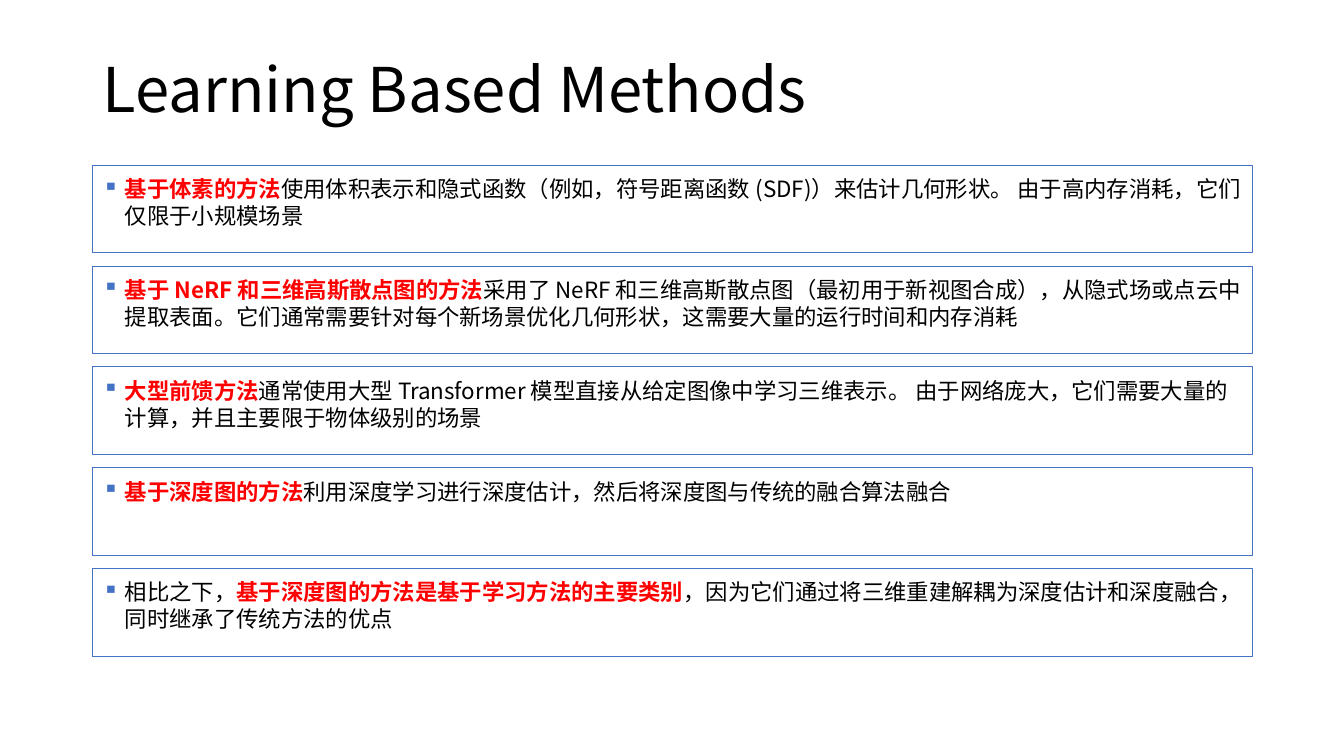
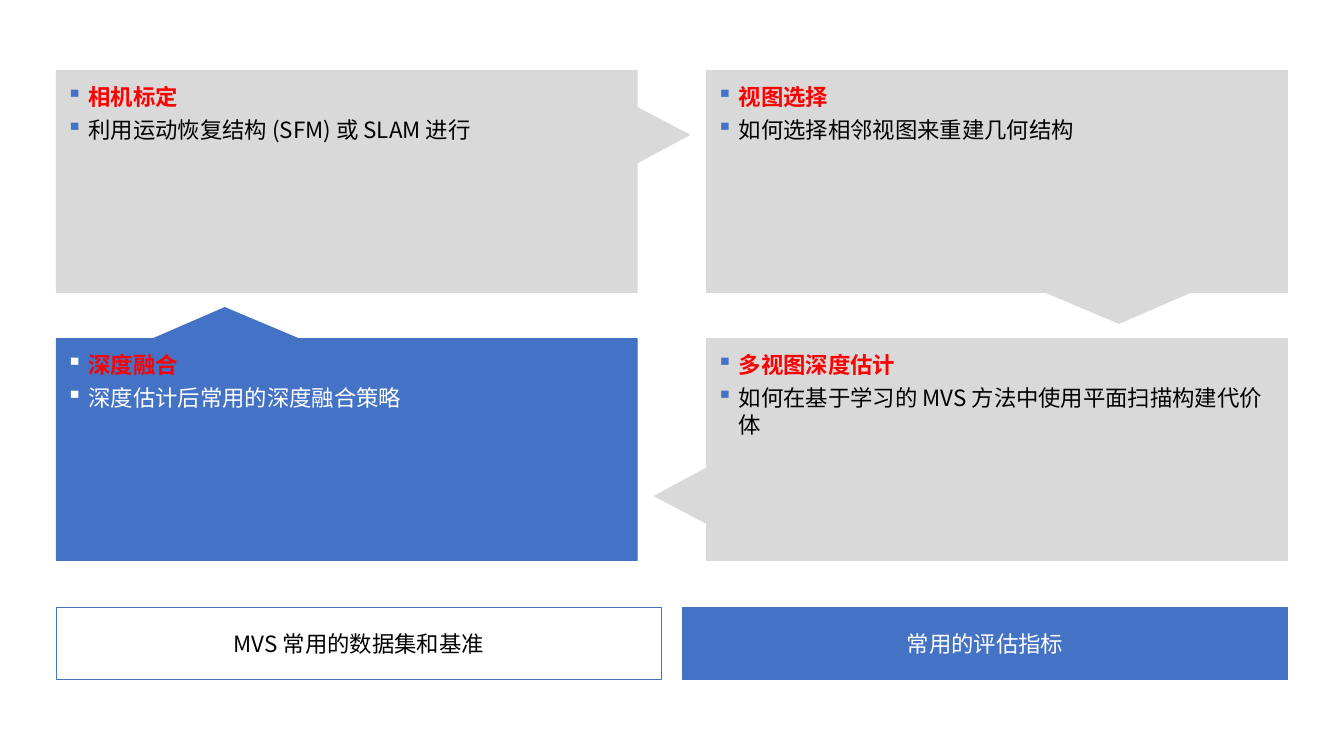
from lxml import etree
from pptx import Presentation
from pptx.dml.color import RGBColor
from pptx.enum.shapes import MSO_SHAPE
from pptx.enum.text import MSO_ANCHOR, PP_ALIGN
from pptx.oxml.ns import qn
from pptx.util import Inches, Pt

RECTANGLE = MSO_SHAPE.RECTANGLE
CALLOUT = MSO_SHAPE.RECTANGULAR_CALLOUT
TOP, MIDDLE = MSO_ANCHOR.TOP, MSO_ANCHOR.MIDDLE
LEFT, CENTER = PP_ALIGN.LEFT, PP_ALIGN.CENTER

BLACK = RGBColor(0x00, 0x00, 0x00)
WHITE = RGBColor(0xFF, 0xFF, 0xFF)
RED = RGBColor(0xFF, 0x00, 0x00)
BLUE = RGBColor(0x44, 0x72, 0xC4)
GRAY = RGBColor(0xD9, 0xD9, 0xD9)

FONT = "Noto Sans CJK SC"
TITLE_SIZE, BODY_SIZE = 44, 16
TITLE_ONLY, BLANK = 5, 6

# Each paragraph is a list of (text, highlighted) spans.
METHODS_TITLE = "Learning Based Methods"
METHODS = [
    [("基于体素的方法", True),
     ("使用体积表示和隐式函数（例如，符号距离函数 (SDF)）来估计几何形状。 "
      "由于高内存消耗，它们仅限于小规模场景", False)],
    [("基于 NeRF 和三维高斯散点图的方法", True),
     ("采用了 NeRF 和三维高斯散点图（最初用于新视图合成），从隐式场或点云中提取表面。"
      "它们通常需要针对每个新场景优化几何形状，这需要大量的运行时间和内存消耗", False)],
    [("大型前馈方法", True),
     ("通常使用大型 Transformer 模型直接从给定图像中学习三维表示。 "
      "由于网络庞大，它们需要大量的计算，并且主要限于物体级别的场景", False)],
    [("基于深度图的方法", True),
     ("利用深度学习进行深度估计，然后将深度图与传统的融合算法融合", False)],
    [("相比之下，", False),
     ("基于深度图的方法是基于学习方法的主要类别", True),
     ("，因为它们通过将三维重建解耦为深度估计和深度融合，同时继承了传统方法的优点", False)],
]

# Heading, detail, column, row, callout tip, fill, text colour, bullet colour
STEPS = [
    ("相机标定", "利用运动恢复结构 (SFM) 或 SLAM 进行",
     0, 0, (0.59, -0.21), GRAY, BLACK, BLUE),
    ("视图选择", "如何选择相邻视图来重建几何结构",
     1, 0, (0.21, 0.64), GRAY, BLACK, BLUE),
    ("多视图深度估计", "如何在基于学习的 MVS 方法中使用平面扫描构建代价体",
     1, 1, (-0.59, 0.21), GRAY, BLACK, BLUE),
    ("深度融合", "深度估计后常用的深度融合策略",
     0, 1, (-0.21, -0.64), BLUE, WHITE, WHITE),
]
# Label, fill, text colour
TOPICS = [
    ("MVS 常用的数据集和基准", WHITE, BLACK),
    ("常用的评估指标", BLUE, WHITE),
]


def add_span(para, text, color, size=BODY_SIZE, bold=False):
    span = para.add_run()
    span.text = text
    font = span.font
    font.size, font.bold = Pt(size), bold
    font.color.rgb = color
    font.name = FONT
    east_asian = etree.SubElement(font._element, qn("a:ea"))
    east_asian.set("typeface", FONT)


def add_bullet(para, color):
    """Give the paragraph a small square bullet with a hanging indent."""
    properties = para._p.get_or_add_pPr()
    properties.set("marL", str(Inches(0.22)))
    properties.set("indent", str(Inches(-0.22)))
    bullet_color = etree.SubElement(properties, qn("a:buClr"))
    etree.SubElement(bullet_color, qn("a:srgbClr")).set("val", str(color))
    etree.SubElement(properties, qn("a:buChar")).set("char", "▪")


def add_box(slide, kind, left, top, width, height, fill, line, insets, anchor=TOP):
    """Add a filled shape; insets are left, top, right and bottom in inches."""
    box = slide.shapes.add_shape(
        kind, Inches(left), Inches(top), Inches(width), Inches(height))
    box.shadow.inherit = False
    box.fill.solid()
    box.fill.fore_color.rgb = fill
    box.line.color.rgb = line
    box.line.width = Pt(0.75)
    frame = box.text_frame
    frame.word_wrap = True
    frame.vertical_anchor = anchor
    (frame.margin_left, frame.margin_top,
     frame.margin_right, frame.margin_bottom) = map(Inches, insets)
    return box


def write_bullets(box, paragraphs, color, bullet_color):
    frame = box.text_frame
    for index, spans in enumerate(paragraphs):
        para = frame.add_paragraph() if index else frame.paragraphs[0]
        para.alignment = LEFT
        if index:
            para.space_before = Pt(4.5)
        add_bullet(para, bullet_color)
        for text, highlighted in spans:
            add_span(para, text, RED if highlighted else color, bold=highlighted)


def add_title(slide, text):
    title = slide.shapes.title
    title.left, title.top = Inches(0.92), Inches(0.19)
    title.width, title.height = Inches(11.5), Inches(1.45)
    title.text_frame.vertical_anchor = MIDDLE
    para = title.text_frame.paragraphs[0]
    para.alignment = LEFT
    para.line_spacing = 0.9
    add_span(para, text, BLACK, TITLE_SIZE)


def build_methods(deck):
    slide = deck.slides.add_slide(deck.slide_layouts[TITLE_ONLY])
    add_title(slide, METHODS_TITLE)
    for row, spans in enumerate(METHODS):
        box = add_box(slide, RECTANGLE, 0.92, 1.64 + row, 11.5, 0.87,
                      WHITE, BLUE, (0.1, 0.1, 0.1, 0.1))
        write_bullets(box, [spans], BLACK, BLUE)


def build_pipeline(deck):
    slide = deck.slides.add_slide(deck.slide_layouts[BLANK])
    for heading, detail, column, row, tip, fill, color, bullet_color in STEPS:
        box = add_box(slide, CALLOUT, 0.56 + 6.45 * column, 0.7 + 2.66 * row,
                      5.76, 2.2, fill, fill, (0.1, 0.12, 0.1, 0.04))
        box.adjustments[0], box.adjustments[1] = tip
        write_bullets(box, [[(heading, True)], [(detail, False)]],
                      color, bullet_color)
    for column, (label, fill, color) in enumerate(TOPICS):
        box = add_box(slide, RECTANGLE, 0.56 + 6.21 * column, 6.03, 6, 0.71,
                      fill, BLUE, (0.1, 0.05, 0.1, 0.05), MIDDLE)
        para = box.text_frame.paragraphs[0]
        para.alignment = CENTER
        add_span(para, label, color)


def main():
    deck = Presentation()
    deck.slide_width, deck.slide_height = Inches(13.33), Inches(7.5)
    build_methods(deck)
    build_pipeline(deck)
    deck.save("out.pptx")


if __name__ == "__main__":
    main()
